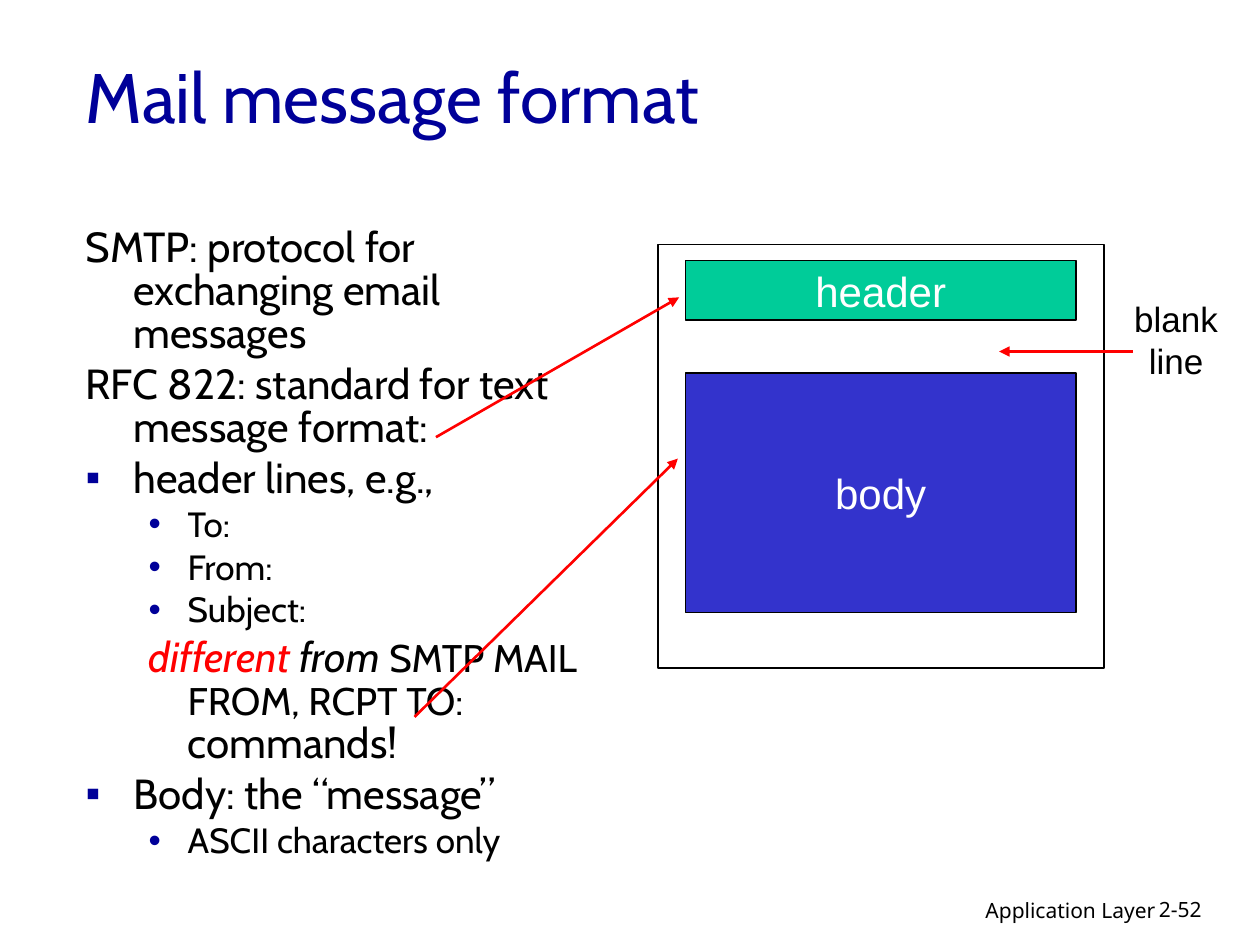
from lxml import etree
from pptx import Presentation
from pptx import util as u
from pptx.dml.color import RGBColor
from pptx.enum import shapes, text
from pptx.oxml import ns

NAVY = RGBColor(0x00, 0x00, 0x99)
BLUE = RGBColor(0x33, 0x33, 0xCC)
GREEN = RGBColor(0x00, 0xCC, 0x99)
RED = RGBColor(0xFF, 0x00, 0x00)
BLACK = RGBColor(0x00, 0x00, 0x00)
WHITE = RGBColor(0xFF, 0xFF, 0xFF)
COLS, ROWS = 100, 75
LEFT, CENTER, RIGHT = text.PP_ALIGN.LEFT, text.PP_ALIGN.CENTER, text.PP_ALIGN.RIGHT
TOP, MIDDLE = text.MSO_ANCHOR.TOP, text.MSO_ANCHOR.MIDDLE


def add_run(p, words, font="Cabin", size=24, color=BLACK, italic=False):
    r = p.add_run()
    r.text = words
    r.font.name, r.font.size = font, u.Pt(size)
    r.font.color.rgb, r.font.italic = color, italic


def sub(parent, tag, **attrs):
    return etree.SubElement(parent, ns.qn(tag), attrs)


class Slide:
    def __init__(self, prs):
        self.s = prs.slides.add_slide(prs.slide_layouts[1])
        self.cell = prs.slide_width / COLS, prs.slide_height / ROWS

    def grid(self, *lengths):
        return [u.Emu(round(n * self.cell[i % 2])) for i, n in enumerate(lengths)]

    def set_text(self, sp, lines, align=LEFT, anchor=TOP, wrap=True, **fmt):
        tf = sp.text_frame
        tf.auto_size = text.MSO_AUTO_SIZE.NONE
        tf.word_wrap, tf.vertical_anchor = wrap, anchor
        for i, line in enumerate(lines):
            p = tf.add_paragraph() if i else tf.paragraphs[0]
            p.alignment = align
            add_run(p, line, **fmt)

    def place(self, sp, *box):
        sp.left, sp.top, sp.width, sp.height = self.grid(*box)
        return sp

    def title(self, words, *box):
        self.set_text(self.place(self.s.shapes.title, *box), [words],
                      anchor=MIDDLE, size=40, color=NAVY)

    def body(self, items, *box):
        tf = self.place(self.s.placeholders[1], *box).text_frame
        tf.auto_size, tf.word_wrap = text.MSO_AUTO_SIZE.NONE, True
        for i, (level, bullet, runs) in enumerate(items):
            p = tf.add_paragraph() if i else tf.paragraphs[0]
            p.level, p.alignment, p.line_spacing = level, LEFT, 0.85
            p.space_before = u.Pt(0.2 * runs[0][1].get("size", 24))
            for words, fmt in runs:
                add_run(p, words, **fmt)
            # Hanging indent and bullet
            margin, hang = ((0.38, 0.38), (0.81, 0.31))[level]
            pPr = p._p.get_or_add_pPr()
            pPr.set("marL", str(u.Inches(margin)))
            pPr.set("indent", str(-u.Inches(hang)))
            if bullet:
                sub(sub(pPr, "a:buClr"), "a:srgbClr", val=str(NAVY))
                sub(pPr, "a:buFont", typeface="Arial")
                sub(pPr, "a:buChar", char=bullet)
            else:
                sub(pPr, "a:buNone")

    def label(self, lines, *box, **fmt):
        self.set_text(self.s.shapes.add_textbox(*self.grid(*box)), lines, **fmt)

    def rect(self, *box, fill=None, line=0.75, words=None):
        sp = self.s.shapes.add_shape(shapes.MSO_SHAPE.RECTANGLE, *self.grid(*box))
        sp.shadow.inherit = False
        sp.line.color.rgb, sp.line.width = BLACK, u.Pt(line)
        if fill is None:
            sp.fill.background()
        else:
            sp.fill.solid()
            sp.fill.fore_color.rgb = fill
        if words:
            self.set_text(sp, [words], CENTER, MIDDLE, wrap=False, font="Arial", color=WHITE)

    def arrow(self, *ends):
        c = self.s.shapes.add_connector(shapes.MSO_CONNECTOR.STRAIGHT, *self.grid(*ends))
        c.line.color.rgb, c.line.width = RED, u.Pt(1.5)
        spPr = c._element.spPr
        sub(spPr.find(ns.qn("a:ln")), "a:tailEnd", type="triangle")
        sub(spPr, "a:effectLst")


prs = Presentation()
prs.slide_width, prs.slide_height = u.Inches(10), u.Inches(7.5)
slide = Slide(prs)

# Footer
slide.label(["Application Layer"], 61, 70.7, 31.7, 3.1, align=RIGHT, font="Noto Sans", size=12)
slide.label(["2-52"], 91, 70.7, 7.4, 3, font="Noto Sans", size=12)

# Title and list
slide.title("Mail message format", 5.8, 1.3, 85, 12.5)
small = {"size": 20}
slide.body([
    (0, None, [("SMTP: protocol for exchanging email messages", {})]),
    (0, None, [("RFC 822: standard for text message format:", {})]),
    (0, "▪", [("header lines, e.g.,", {})]),
    *[(1, "•", [(field, small)]) for field in ("To:", "From:", "Subject:")],
    (1, None, [("different ", {"color": RED, "italic": True}),
               ("from ", {"italic": True}),
               ("SMTP MAIL FROM, RCPT TO:", {"size": 22}),
               (" commands!", {})]),
    (0, "▪", [("Body: the “message” ", {})]),
    (1, "•", [("ASCII characters only", small)]),
], 5.8, 17.6, 43, 50.8)

# Message diagram
slide.rect(54.4, 20.7, 31, 4.7, fill=GREEN, words="header")
slide.rect(54.4, 29.6, 31, 19, fill=BLUE, words="body")
slide.rect(52.2, 19.4, 35.4, 33.6, line=1)

# Arrows and their label
slide.arrow(34.6, 34.7, 53.9, 23.6)
slide.arrow(32.9, 56.9, 53.8, 36.4)
slide.label(["blank", "line"], 89, 23.1, 8.7, 7.7, align=CENTER, wrap=False,
            font="Arial", size=20)
slide.arrow(89.9, 27.9, 79.3, 27.9)

prs.save("out.pptx")
